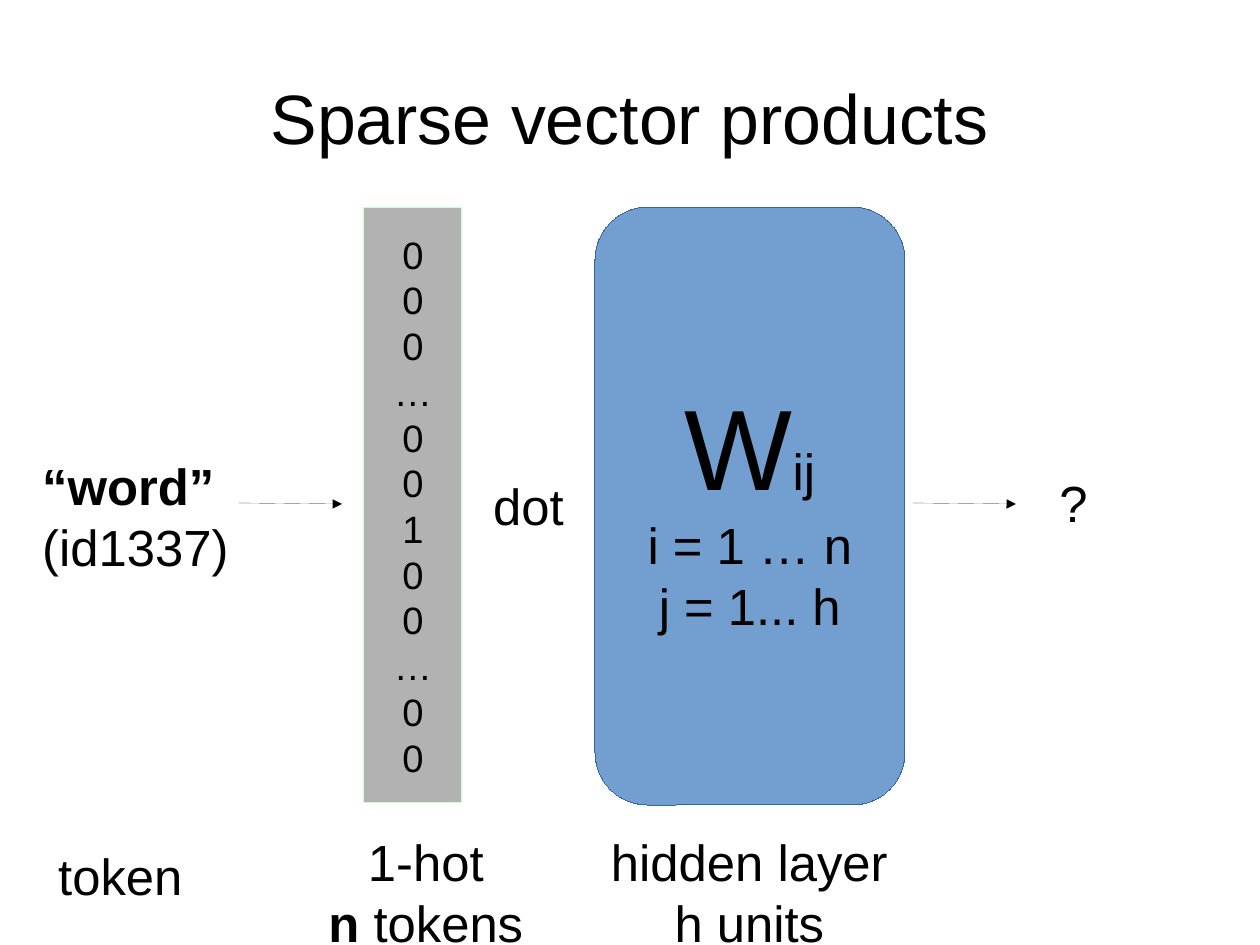
from lxml.etree import SubElement
from pptx import Presentation
from pptx.dml.color import RGBColor
from pptx.enum.shapes import MSO_CONNECTOR, MSO_SHAPE
from pptx.enum.text import MSO_ANCHOR, MSO_AUTO_SIZE, PP_ALIGN
from pptx.oxml.ns import qn
from pptx.util import Emu, Pt

SCALE = 8000
FONT = "Arial"
BLACK = "000000"
ONE_HOT = "000…00100…00"


def px(*lengths):
    """Turn px lengths into EMU."""
    return [Emu(length * SCALE) for length in lengths]


def color(value):
    """Turn a hex string into a colour."""
    return RGBColor.from_string(value)


def add_span(para, text, size=32, bold=False):
    """Add one formatted run to a paragraph."""
    span = para.add_run()
    span.text = text
    span.font.name = FONT
    span.font.size = Pt(size)
    span.font.bold = bold
    span.font.color.rgb = color(BLACK)


def write(frame, lines, align=PP_ALIGN.LEFT, anchor=MSO_ANCHOR.TOP, wrap=True, size=32):
    """Fill a text frame with lines, each a list of (text, format) spans."""
    frame.word_wrap = wrap
    frame.vertical_anchor = anchor
    for index, spans in enumerate(lines):
        para = frame.paragraphs[0] if index == 0 else frame.add_paragraph()
        para.alignment = align
        for text, style in spans:
            add_span(para, text, **{"size": size, **style})


def add_label(page, place, lines, **style):
    """Add a text box that grows with its text."""
    box = page.shapes.add_textbox(*px(*place))
    box.text_frame.auto_size = MSO_AUTO_SIZE.SHAPE_TO_FIT_TEXT
    write(box.text_frame, lines, **style)


def set_hairline(shape, value):
    """Give a shape or connector the thinnest line in one colour."""
    shape.line.color.rgb = color(value)
    outline = shape._element.spPr.find(qn("a:ln"))
    outline.set("w", "0")
    return outline


def add_block(page, kind, place, fill, line, lines, size=32):
    """Add a filled shape with centred text."""
    block = page.shapes.add_shape(kind, *px(*place))
    block.shadow.inherit = False
    block.fill.solid()
    block.fill.fore_color.rgb = color(fill)
    set_hairline(block, line)
    write(block.text_frame, lines, align=PP_ALIGN.CENTER,
          anchor=MSO_ANCHOR.MIDDLE, wrap=False, size=size)
    return block


def add_arrow(page, left, top, right, bottom):
    """Add a hairline arrow."""
    arrow = page.shapes.add_connector(
        MSO_CONNECTOR.STRAIGHT, *px(left, top, right, bottom))
    outline = set_hairline(arrow, BLACK)
    SubElement(outline, qn("a:tailEnd"), type="triangle")
    SubElement(arrow._element.spPr, qn("a:effectLst"))


def main():
    """Build the slide."""
    deck = Presentation()
    deck.slide_width, deck.slide_height = px(1260, 945)
    page = deck.slides.add_slide(deck.slide_layouts[6])

    add_label(page, (63, 38, 1134, 158), [[("Sparse vector products", {})]],
              align=PP_ALIGN.CENTER, anchor=MSO_ANCHOR.MIDDLE, size=44)
    add_label(page, (31, 449, 243, 126),
              [[("“word”", {"bold": True})], [("(id1337)", {})]])
    add_block(page, MSO_SHAPE.RECTANGLE, (364, 208, 98, 595), "B2B2B2", "CCFFCC",
              [[(digit, {})] for digit in ONE_HOT], size=24)
    weights = add_block(
        page, MSO_SHAPE.ROUNDED_RECTANGLE, (595, 207, 310, 598), "729FCF", "3465A4",
        [[("W", {"size": 72}), ("ij", {})], [("i = 1 … n", {})], [("j = 1... h", {})]])
    weights.adjustments[0] = 0.17

    for left in (239, 913):
        add_arrow(page, left, 503, left + 103, 504)

    for text, place in (("token", (47, 839, 152, 79)),
                        ("dot", (482, 469, 185, 69)),
                        ("?", (1048, 466, 94, 69))):
        add_label(page, place, [[(text, {})]])
    add_label(page, (290, 825, 272, 126),
              [[("1-hot", {})], [("n", {"bold": True}), (" tokens", {})]],
              align=PP_ALIGN.CENTER)
    add_label(page, (507, 825, 485, 126),
              [[("hidden layer", {})], [("h units", {})]], align=PP_ALIGN.CENTER)

    deck.save("out.pptx")


if __name__ == "__main__":
    main()
